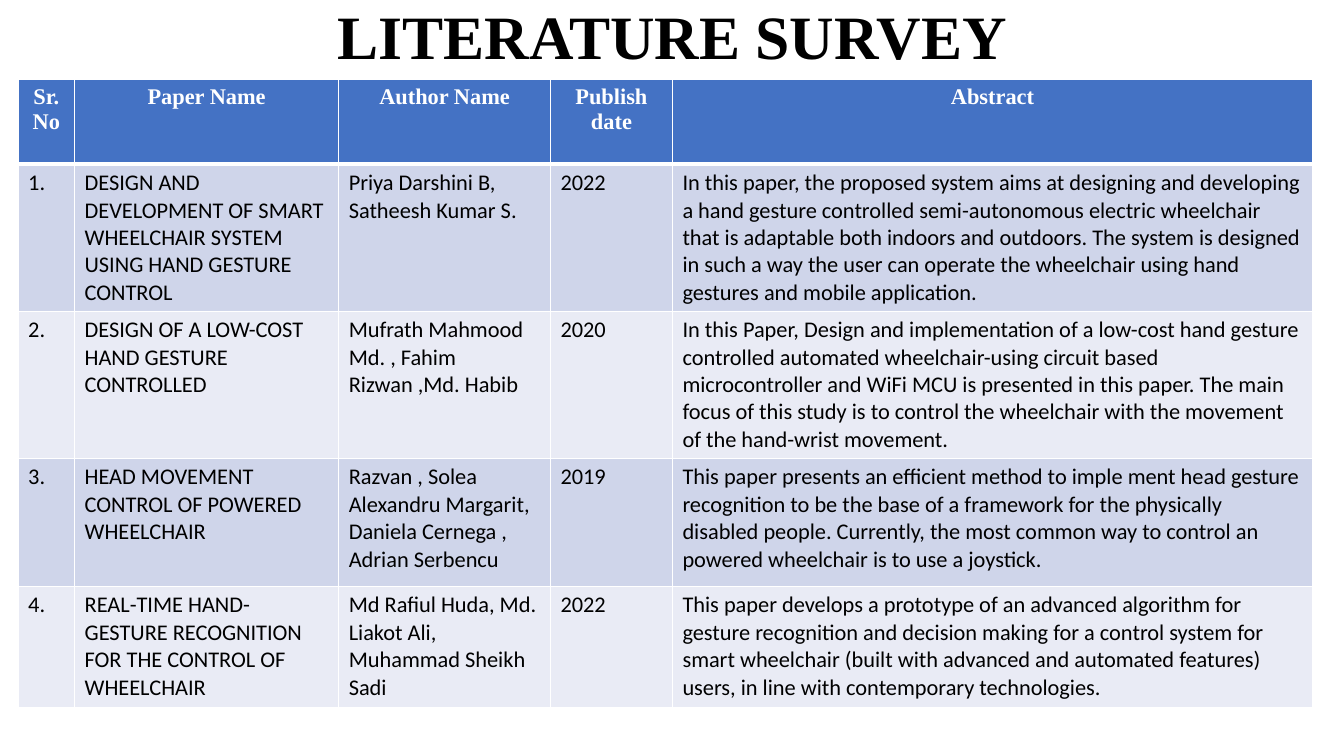
from dataclasses import dataclass

from lxml.etree import SubElement
from pptx import Presentation
from pptx.dml.color import RGBColor
from pptx.enum.text import MSO_ANCHOR, MSO_AUTO_SIZE, PP_ALIGN
from pptx.oxml.ns import qn
from pptx.util import Inches, Pt


@dataclass(frozen=True)
class Theme:
    title_font: str = "Times New Roman"
    body_font: str = "Calibri"
    title_size: int = 44
    table_size: int = 16
    text: str = "000000"
    header_text: str = "FFFFFF"
    header_fill: str = "4472C4"
    bands: tuple = ("CFD5EA", "E9EBF5")
    border: str = "FFFFFF"
    border_width: int = 1
    header_rule_width: int = 3


THEME = Theme()

COLUMN_WIDTHS = (0.56, 2.62, 2.1, 1.21, 6.35)
ROW_HEIGHTS = (0.84, 1.46, 1.46, 1.27, 1.2)
HEADINGS = ("Sr.No", "Paper Name", "Author Name", "Publish date", "Abstract")
PAPERS = (
    (
        "DESIGN AND DEVELOPMENT OF SMART WHEELCHAIR SYSTEM USING HAND GESTURE CONTROL",
        "Priya Darshini B, Satheesh Kumar S.",
        "2022",
        "In this paper, the proposed system aims at designing and developing a hand "
        "gesture controlled semi-autonomous electric wheelchair that is adaptable both "
        "indoors and outdoors. The system is designed in such a way the user can operate "
        "the wheelchair using hand gestures and mobile application.",
    ),
    (
        "DESIGN OF A LOW-COST HAND GESTURE CONTROLLED",
        "Mufrath Mahmood Md. , Fahim Rizwan ,Md. Habib",
        "2020",
        "In this Paper, Design and implementation of a low-cost hand gesture controlled "
        "automated wheelchair-using circuit based microcontroller and WiFi MCU is "
        "presented in this paper. The main focus of this study is to control the "
        "wheelchair with the movement of the hand-wrist movement.",
    ),
    (
        "HEAD MOVEMENT CONTROL OF POWERED WHEELCHAIR",
        "Razvan , Solea Alexandru Margarit, Daniela Cernega , Adrian Serbencu",
        "2019",
        "This paper presents an efficient method to imple ment head gesture recognition "
        "to be the base of a framework for the physically disabled people. Currently, the "
        "most common way to control an powered wheelchair is to use a joystick.",
    ),
    (
        "REAL-TIME HAND-GESTURE RECOGNITION FOR THE CONTROL OF WHEELCHAIR",
        "Md Rafiul Huda, Md. Liakot Ali, Muhammad Sheikh Sadi",
        "2022",
        "This paper develops a prototype of an advanced algorithm for gesture recognition "
        "and decision making for a control system for smart wheelchair (built with "
        "advanced and automated features) users, in line with contemporary technologies.",
    ),
)


def add_run(paragraph, text, font, size, color, bold):
    run = paragraph.add_run()
    run.text = text
    run.font.name = font
    run.font.size = Pt(size)
    run.font.bold = bold
    run.font.color.rgb = RGBColor.from_string(color)


def set_borders(cell, bottom_width):
    """Draw the four cell edges, which must precede the fill in the cell properties."""
    properties = cell._tc.get_or_add_tcPr()
    thin = THEME.border_width
    edges = (("L", thin), ("R", thin), ("T", thin), ("B", bottom_width))
    for position, (edge, width) in enumerate(edges):
        line = SubElement(properties, qn(f"a:ln{edge}"), w=str(Pt(width)))
        fill = SubElement(line, qn("a:solidFill"))
        SubElement(fill, qn("a:srgbClr"), val=THEME.border)
        properties.insert(position, line)


def fill_cell(cell, text, row_index):
    is_header = row_index == 0
    paragraph = cell.text_frame.paragraphs[0]
    cell.fill.solid()
    if is_header:
        color = THEME.header_fill
        paragraph.alignment = PP_ALIGN.CENTER
        add_run(paragraph, text, THEME.title_font, THEME.table_size,
                THEME.header_text, True)
    else:
        color = THEME.bands[(row_index - 1) % len(THEME.bands)]
        add_run(paragraph, text, THEME.body_font, THEME.table_size, THEME.text, False)
    cell.fill.fore_color.rgb = RGBColor.from_string(color)
    set_borders(cell, THEME.header_rule_width if is_header else THEME.border_width)


def place_title(slide, text, left, top, width, height):
    title = slide.shapes.title
    title.left, title.top = Inches(left), Inches(top)
    title.width, title.height = Inches(width), Inches(height)
    frame = title.text_frame
    frame.auto_size = MSO_AUTO_SIZE.NONE
    frame.vertical_anchor = MSO_ANCHOR.MIDDLE
    paragraph = frame.paragraphs[0]
    paragraph.alignment = PP_ALIGN.CENTER
    paragraph.line_spacing = 0.9
    add_run(paragraph, text, THEME.title_font, THEME.title_size, THEME.text, True)


def add_survey_table(slide, left, top):
    rows = [HEADINGS]
    rows += [(f"{number}.", *paper) for number, paper in enumerate(PAPERS, start=1)]
    table = slide.shapes.add_table(
        len(rows), len(HEADINGS), Inches(left), Inches(top),
        Inches(sum(COLUMN_WIDTHS)), Inches(sum(ROW_HEIGHTS)),
    ).table
    for column, width in zip(table.columns, COLUMN_WIDTHS):
        column.width = Inches(width)
    for row, height in zip(table.rows, ROW_HEIGHTS):
        row.height = Inches(height)
    for row_index, texts in enumerate(rows):
        for column_index, text in enumerate(texts):
            fill_cell(table.cell(row_index, column_index), text, row_index)


def main():
    presentation = Presentation()
    presentation.slide_width = Inches(13.33)
    presentation.slide_height = Inches(7.5)
    title_only = presentation.slide_layouts.get_by_name("Title Only")
    slide = presentation.slides.add_slide(title_only)
    place_title(slide, "LITERATURE SURVEY", 0.92, 0, 11.5, 0.79)
    add_survey_table(slide, 0.18, 0.79)
    presentation.save("out.pptx")


if __name__ == "__main__":
    main()
